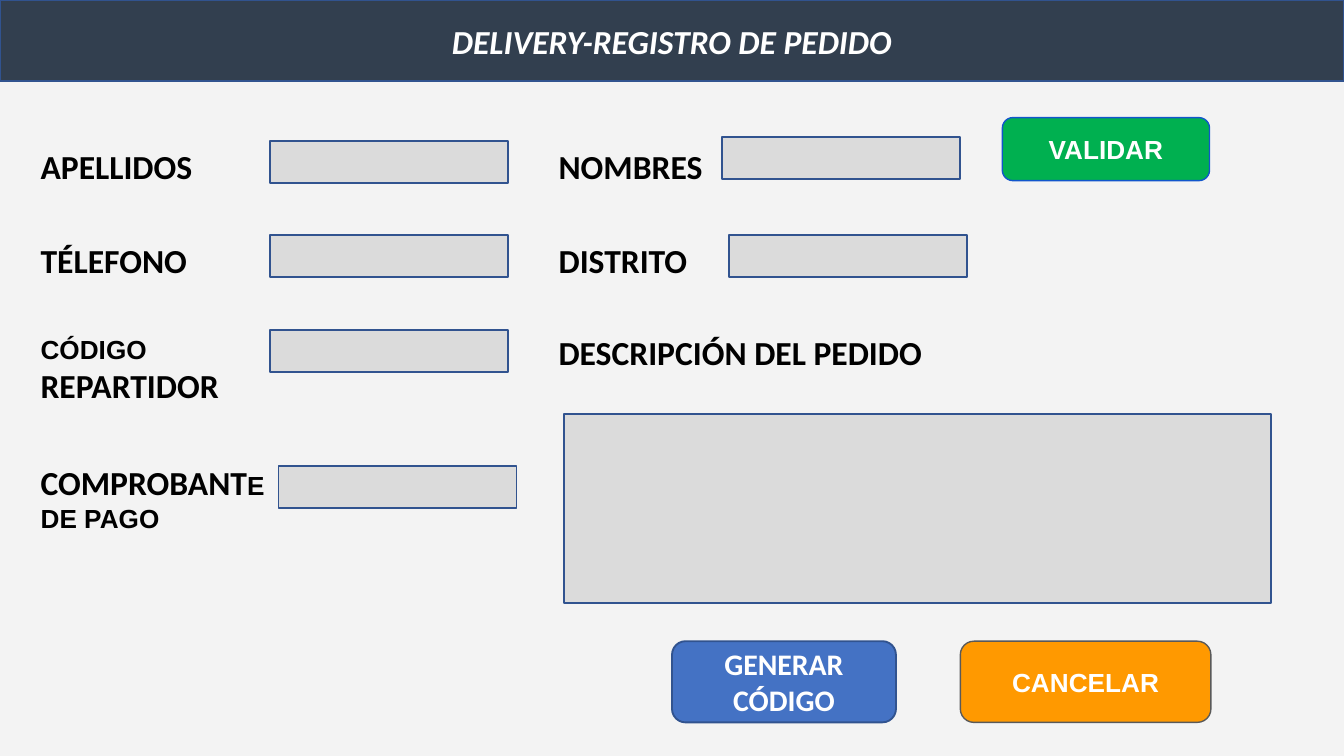
from dataclasses import dataclass

from pptx import Presentation
from pptx.dml.color import RGBColor
from pptx.enum.shapes import MSO_SHAPE
from pptx.enum.text import MSO_ANCHOR, PP_ALIGN
from pptx.util import Emu, Pt

RECT, ROUND = MSO_SHAPE.RECTANGLE, MSO_SHAPE.ROUNDED_RECTANGLE
TOP, MIDDLE = MSO_ANCHOR.TOP, MSO_ANCHOR.MIDDLE
LEFT, CENTER = PP_ALIGN.LEFT, PP_ALIGN.CENTER
PX = 9525


@dataclass(frozen=True)
class Theme:
    """Colours, fonts and sizes of the form."""
    page: str = "F3F3F3"
    header: str = "323F4F"
    field: str = "DBDBDB"
    border: str = "31538F"
    ink: str = "000000"
    white: str = "FFFFFF"
    blue: str = "4472C4"
    orange: str = "FF9900"
    orange_border: str = "595959"
    green: str = "00B050"
    green_border: str = "1155CC"
    large: tuple = ("Calibri", 18)
    medium: tuple = ("Calibri", 16)
    small: tuple = ("Arial", 14)


T = Theme()


def emu(*lengths):
    """Turn px lengths into EMU."""
    return [Emu(n * PX) for n in lengths]


def write(s, runs, color, align, anchor, italic=False):
    """Write bold runs of (text, style) into one paragraph of a shape."""
    tf = s.text_frame
    tf.word_wrap = True
    tf.vertical_anchor = anchor
    tf.margin_left, tf.margin_top, tf.margin_right, tf.margin_bottom = emu(10, 10, 10, 10)
    p = tf.paragraphs[0]
    p.alignment = align
    for text, (font, size) in runs:
        r = p.add_run()
        r.text = text
        r.font.name, r.font.size = font, Pt(size)
        r.font.bold = True
        if italic:
            r.font.italic = True
        r.font.color.rgb = RGBColor.from_string(color)


def add_box(slide, box, fill, kind=RECT, border=T.border, width=1):
    """Add a filled, outlined shape."""
    s = slide.shapes.add_shape(kind, *emu(*box))
    s.shadow.inherit = False
    s.fill.solid()
    s.fill.fore_color.rgb = RGBColor.from_string(fill)
    s.line.color.rgb = RGBColor.from_string(border)
    s.line.width = Pt(width)
    return s


def add_label(slide, box, runs):
    """Add a form label."""
    s = slide.shapes.add_textbox(*emu(*box))
    write(s, runs, T.ink, LEFT, TOP)


def add_header(slide, box, title):
    """Add the title bar."""
    s = add_box(slide, box, T.header)
    write(s, [(title, T.large)], T.white, CENTER, MIDDLE, italic=True)


def add_button(slide, box, text, style, fill, border, width):
    """Add a rounded button."""
    s = add_box(slide, box, fill, ROUND, border, width)
    s.adjustments[0] = 0.167
    write(s, [(text, style)], T.white, CENTER, MIDDLE)


def add_fields(slide, box, rows):
    """Stack labels with their input fields inside a column."""
    left, top, _, _ = box
    for y, width, height, runs, (dx, dy) in rows:
        add_label(slide, (left, top + y, width, height), runs)
        add_box(slide, (left + dx, top + y + dy, 170, 30), T.field)


def add_description(slide, box):
    """Add the order description label and its text area."""
    left, top, width, height = box
    add_label(slide, (left, top, 301, 45), [("DESCRIPCIÓN DEL PEDIDO", T.large)])
    add_box(slide, (left + 14, top + 69, width - 14, height - 69), T.field)


def add_actions(slide, box):
    """Add the buttons at the two ends of the bottom row."""
    left, top, width, height = box
    add_button(slide, (left, top, 160, height), "GENERAR CÓDIGO", T.medium,
               T.blue, T.border, 1)
    add_button(slide, (left + width - 179, top, 179, height), "CANCELAR", T.small,
               T.orange, T.orange_border, 0.75)


def main():
    """Build the order form slide."""
    prs = Presentation()
    prs.slide_width, prs.slide_height = emu(960, 540)
    slide = prs.slides.add_slide(prs.slide_layouts[6])
    slide.background.fill.solid()
    slide.background.fill.fore_color.rgb = RGBColor.from_string(T.page)

    add_header(slide, (0, 0, 960, 58), "DELIVERY-REGISTRO DE PEDIDO")
    add_fields(slide, (19, 94, 350, 284), [
        (0, 148, 45, [("APELLIDOS", T.large)], (174, 7)),
        (67, 128, 45, [("TÉLEFONO", T.large)], (174, 7)),
        (134, 148, 45, [("CÓDIGO ", T.small), ("REPARTIDOR", T.large)], (174, 8)),
        (226, 198, 58, [("COMPROBANT", T.large), ("E DE PAGO", T.small)], (180, 13)),
    ])
    add_fields(slide, (389, 94, 302, 112), [
        (0, 128, 45, [("NOMBRES", T.large)], (127, 4)),
        (67, 128, 45, [("DISTRITO", T.large)], (132, 7)),
    ])
    add_description(slide, (389, 227, 519, 204))
    add_button(slide, (716, 84, 148, 45), "VALIDAR", T.small,
               T.green, T.green_border, 0.75)
    add_actions(slide, (480, 458, 385, 58))
    prs.save("out.pptx")


if __name__ == "__main__":
    main()
